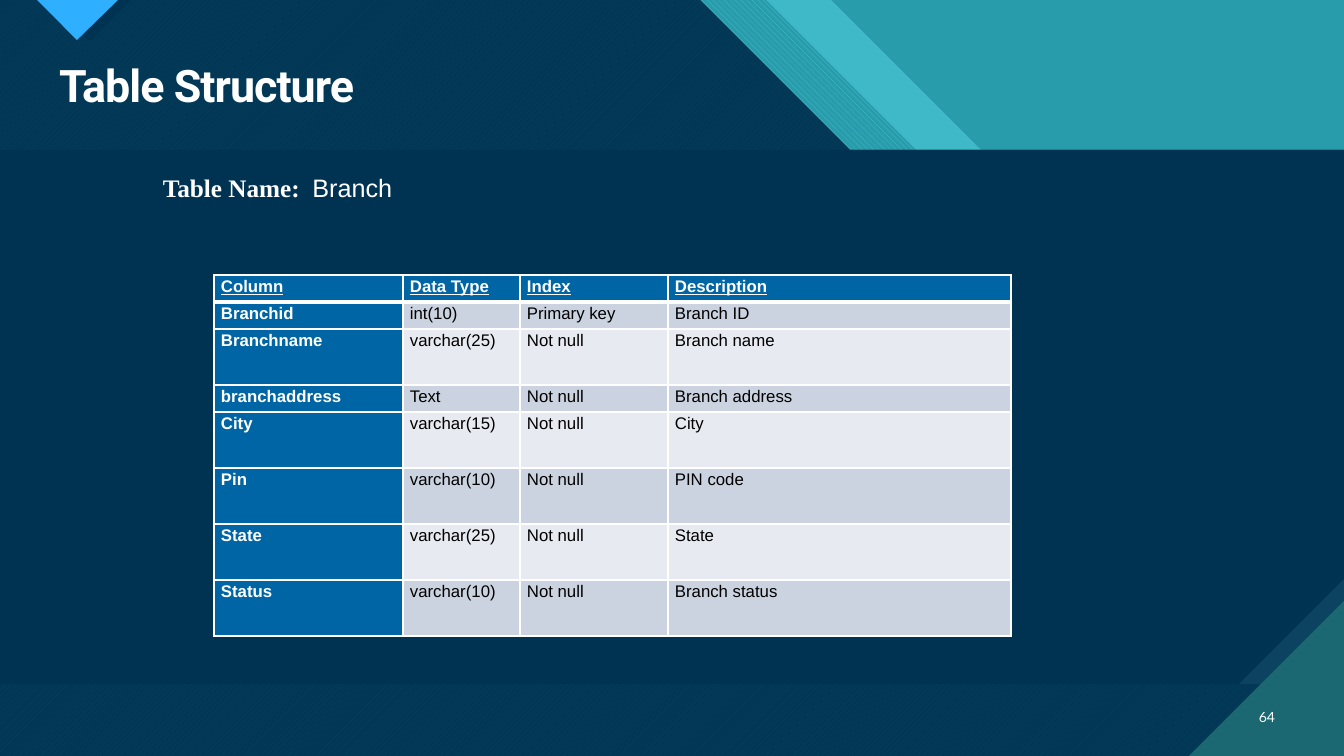
from lxml.etree import SubElement
from pptx import Presentation
from pptx.dml.color import RGBColor
from pptx.enum.dml import MSO_PATTERN
from pptx.enum.text import MSO_ANCHOR, MSO_AUTO_SIZE, PP_ALIGN
from pptx.oxml.ns import qn
from pptx.util import Emu, Pt

SCALE = 12192000 / 1344
WIDE, HIGH = 1344, 756
TOP, BASE = 150, 684
INKS = {
    "teal": "299CAB", "aqua": "47C3D3", "pine": "1B6872", "navy": "003352",
    "slate": "0C4360", "sky": "2FAFFF", "blue": "0065A4", "white": "FFFFFF",
    "black": "000000", "odd": "CCD3E0", "even": "E7EAF0",
}
HEADS = ["Column", "Data Type", "Index", "Description"]
ROWS = [
    ["Branchid", "int(10)", "Primary key", "Branch ID"],
    ["Branchname", "varchar(25)", "Not null", "Branch name"],
    ["branchaddress", "Text", "Not null", "Branch address"],
    ["City", "varchar(15)", "Not null", "City"],
    ["Pin", "varchar(10)", "Not null", "PIN code"],
    ["State", "varchar(25)", "Not null", "State"],
    ["Status", "varchar(10)", "Not null", "Branch status"],
]
COLS = [189, 117, 148, 343]
LOW, TALL = 27, 56
TIERS = [LOW, LOW, TALL, LOW, TALL, TALL, TALL, TALL]


def px(count):
    return Emu(round(count * SCALE))


def ink(name):
    return RGBColor.from_string(INKS[name])


def write(frame, text, size=12, font="Arial", color="white", bold=False,
          under=False, align=None, lead=None, track=None):
    part = frame.paragraphs[0]
    part.alignment = align
    part.line_spacing = lead
    run = part.add_run()
    run.text = text
    run.font.size = Pt(size)
    run.font.name = font
    run.font.bold = bold
    run.font.underline = under
    run.font.color.rgb = ink(color)
    if track:
        run.font._element.set("spc", str(round(track * 100)))


class Deck:
    """Holds the style and the current slide, and draws each kind of element."""

    def __init__(self):
        self.show = Presentation()
        self.show.slide_width, self.show.slide_height = px(WIDE), px(HIGH)
        self.page = self.show.slides.add_slide(self.show.slide_layouts[5])
        back = self.page.background.fill
        back.solid()
        back.fore_color.rgb = ink("teal")

    def plane(self, spots, color, alpha=None, weave=None, under=None):
        draft = self.page.shapes.build_freeform(*spots[0], scale=SCALE)
        draft.add_line_segments(spots[1:], close=True)
        shape = draft.convert_to_shape()
        shape.shadow.inherit = False
        shape.line.fill.background()
        if weave:
            shape.fill.patterned()
            shape.fill.pattern = weave
            shape.fill.back_color.rgb = ink(under)
        else:
            shape.fill.solid()
        shape.fill.fore_color.rgb = ink(color)
        if alpha:
            tint = shape.element.spPr.find(".//" + qn("a:srgbClr"))
            SubElement(tint, qn("a:alpha"), val=str(alpha * 1000))

    def place(self, shape, left, top, width, height, anchor=MSO_ANCHOR.TOP):
        shape.left, shape.top = px(left), px(top)
        shape.width, shape.height = px(width), px(height)
        frame = shape.text_frame
        frame.word_wrap = True
        frame.auto_size = MSO_AUTO_SIZE.NONE
        frame.vertical_anchor = anchor
        return frame

    def title(self, text, *box, **form):
        shape = self.page.shapes.title
        self.page.shapes.element.append(shape.element)
        write(self.place(shape, *box), text, **form)

    def label(self, *box, anchor=MSO_ANCHOR.TOP):
        shape = self.page.shapes.add_textbox(0, 0, 0, 0)
        return self.place(shape, *box, anchor=anchor)

    def edge(self, cell, row):
        props = cell._tc.get_or_add_tcPr()
        thick = {"T": 3 if row == 1 else 1, "B": 3 if row == 0 else 1}
        for side in "LRTB":
            line = SubElement(props, qn("a:ln" + side),
                              w=str(Pt(thick.get(side, 1))))
            fill = SubElement(line, qn("a:solidFill"))
            SubElement(fill, qn("a:srgbClr"), val=INKS["white"])

    def table(self, left, top, data, cols, tiers):
        grid = self.page.shapes.add_table(
            len(data), len(cols), px(left), px(top),
            px(sum(cols)), px(sum(tiers))).table
        for col, width in zip(grid.columns, cols):
            col.width = px(width)
        for row, height in zip(grid.rows, tiers):
            row.height = px(height)
        for r, words in enumerate(data):
            for c, text in enumerate(words):
                cell = grid.cell(r, c)
                cell.margin_left = cell.margin_right = px(7)
                cell.margin_top = cell.margin_bottom = 0
                self.edge(cell, r)
                head = r == 0 or c == 0
                cell.fill.solid()
                cell.fill.fore_color.rgb = ink(
                    "blue" if head else "odd" if r % 2 else "even")
                write(cell.text_frame, text, bold=head, under=r == 0,
                      color="white" if head else "black",
                      align=PP_ALIGN.JUSTIFY, lead=1.1)


def slant(left, right):
    return [(left, 0), (right, 0), (right + TOP, TOP), (left + TOP, TOP)]


def main():
    deck = Deck()
    deck.plane(slant(765, 831), "aqua", alpha=74)
    deck.plane(slant(700, 766), "aqua",
               weave=MSO_PATTERN.WIDE_DOWNWARD_DIAGONAL, under="teal")
    field = [(0, 0), (700, 0), (700 + TOP, TOP), (WIDE, TOP),
             (WIDE, HIGH), (0, HIGH)]
    deck.plane(field, "aqua",
               weave=MSO_PATTERN.WIDE_UPWARD_DIAGONAL, under="pine")
    deck.plane(field, "navy", alpha=90)
    deck.plane([(48, 0), (131, 0), (90, 41)], "navy")
    deck.plane([(37, 0), (118, 0), (77, 40)], "sky")
    deck.plane([(0, TOP), (WIDE, TOP), (WIDE, BASE), (0, BASE)], "slate")
    deck.plane([(0, TOP), (WIDE, TOP), (WIDE, BASE - 105),
                (WIDE - 105, BASE), (0, BASE)], "navy")
    deck.plane([(WIDE - 155, HIGH), (WIDE, HIGH), (WIDE, HIGH - 155)], "pine")

    deck.title("Table Structure", 49, 59, 1236, 108, size=32, font="Roboto",
               bold=True, align=PP_ALIGN.LEFT, lead=0.9, track=-0.7)
    write(deck.label(1241, 697, 44, 40, anchor=MSO_ANCHOR.MIDDLE), "64",
          size=10, font="Lato", align=PP_ALIGN.RIGHT)
    name = deck.label(153, 167, 264, 40)
    write(name, "Table Name:  ", size=18, font="Times New Roman", bold=True)
    write(name, "Branch", size=18)
    deck.table(214, 275, [HEADS] + ROWS, COLS, TIERS)
    deck.show.save("out.pptx")


if __name__ == "__main__":
    main()
